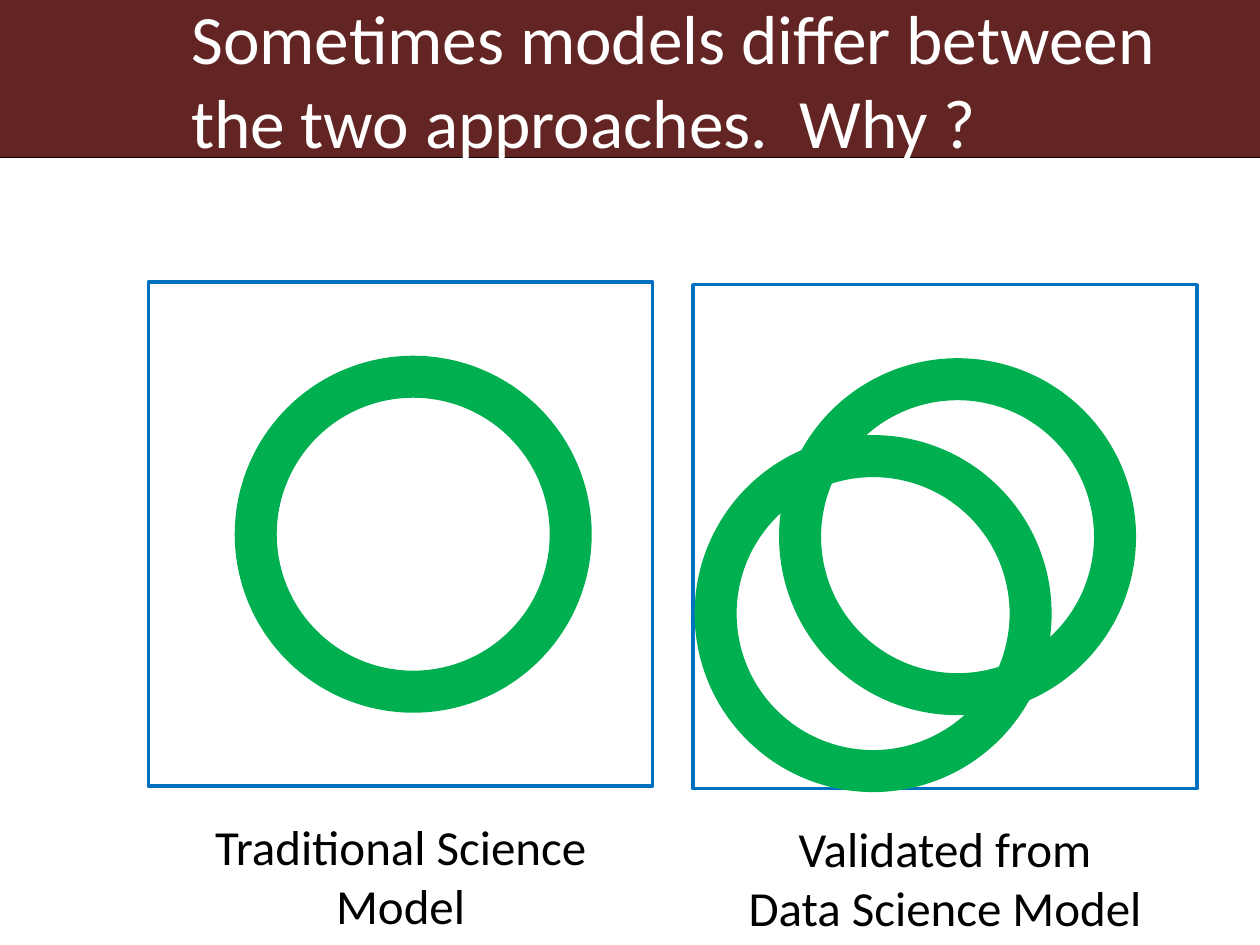
from pptx import Presentation
from pptx.dml.color import RGBColor
from pptx.enum.shapes import MSO_CONNECTOR, MSO_SHAPE
from pptx.enum.text import MSO_ANCHOR, PP_ALIGN
from pptx.oxml.ns import qn
from pptx.util import Inches, Pt

RECTANGLE, OVAL = MSO_SHAPE.RECTANGLE, MSO_SHAPE.OVAL
STRAIGHT = MSO_CONNECTOR.STRAIGHT
TOP, MIDDLE = MSO_ANCHOR.TOP, MSO_ANCHOR.MIDDLE
LEFT, CENTER = PP_ALIGN.LEFT, PP_ALIGN.CENTER

MAROON = RGBColor(0x63, 0x25, 0x23)
GREEN = RGBColor(0x00, 0xB0, 0x50)
BLUE = RGBColor(0x00, 0x70, 0xC0)
BLACK = RGBColor(0x00, 0x00, 0x00)
WHITE = RGBColor(0xFF, 0xFF, 0xFF)

SLIDE_WIDTH, SLIDE_HEIGHT = 10, 7.5
HEADER_HEIGHT = 1.25
FRAME_SIZE, RING_SIZE = 4, 2.5
CAPTION_DROP, CAPTION_HEIGHT = 4.19, 1.04

# Frame corner, ring offsets within the frame, caption lines
MODELS = [
    (1.18, 2.24, [(0.85, 0.75)], ["Traditional Science Model"]),
    (5.5, 2.26, [(0.85, 0.75), (0.18, 1.36)],
     ["Validated from", "Data Science Model"]),
]


class SlideBuilder:
    font = "Calibri"

    def __init__(self, slide):
        self.shapes = slide.shapes

    def _shape(self, kind, *box):
        shape = self.shapes.add_shape(kind, *map(Inches, box))
        shape.shadow.inherit = False
        return shape

    def band(self, *box, color):
        band = self._shape(RECTANGLE, *box)
        band.fill.solid()
        band.fill.fore_color.rgb = color
        band.line.fill.background()

    def outline(self, kind, *box, color, weight):
        outline = self._shape(kind, *box)
        outline.fill.background()
        outline.line.color.rgb = color
        outline.line.width = Pt(weight)

    def rule(self, *ends, color, weight):
        rule = self.shapes.add_connector(STRAIGHT, *map(Inches, ends))
        rule.line.color.rgb = color
        rule.line.width = Pt(weight)
        properties = rule._element.spPr
        properties.append(properties.makeelement(qn("a:effectLst"), {}))

    def text(self, lines, *box, size, color, align=LEFT, anchor=TOP):
        frame = self.shapes.add_textbox(*map(Inches, box)).text_frame
        frame.word_wrap = True
        frame.vertical_anchor = anchor
        frame.text = "\n".join(lines)
        style = {"name": self.font, "size": Pt(size)}
        for paragraph in frame.paragraphs:
            paragraph.alignment = align
            for attribute, value in style.items():
                setattr(paragraph.font, attribute, value)
            paragraph.font.color.rgb = color


def main():
    prs = Presentation()
    prs.slide_width, prs.slide_height = Inches(SLIDE_WIDTH), Inches(SLIDE_HEIGHT)
    builder = SlideBuilder(prs.slides.add_slide(prs.slide_layouts[6]))

    builder.band(0, 0, SLIDE_WIDTH, HEADER_HEIGHT, color=MAROON)
    builder.rule(0, HEADER_HEIGHT, SLIDE_WIDTH, HEADER_HEIGHT,
                 color=BLACK, weight=0.75)
    builder.text(
        ["Sometimes models differ between the two approaches.  Why ?"],
        1.42, 0, 8.5, HEADER_HEIGHT, size=39.6, color=WHITE, anchor=MIDDLE)

    for left, top, rings, caption in MODELS:
        builder.outline(RECTANGLE, left, top, FRAME_SIZE, FRAME_SIZE,
                        color=BLUE, weight=2)
        for dx, dy in rings:
            builder.outline(OVAL, left + dx, top + dy, RING_SIZE, RING_SIZE,
                            color=GREEN, weight=24)
        builder.text(caption, left, top + CAPTION_DROP, FRAME_SIZE,
                     CAPTION_HEIGHT, size=28, color=BLACK, align=CENTER)

    prs.save("out.pptx")


if __name__ == "__main__":
    main()
